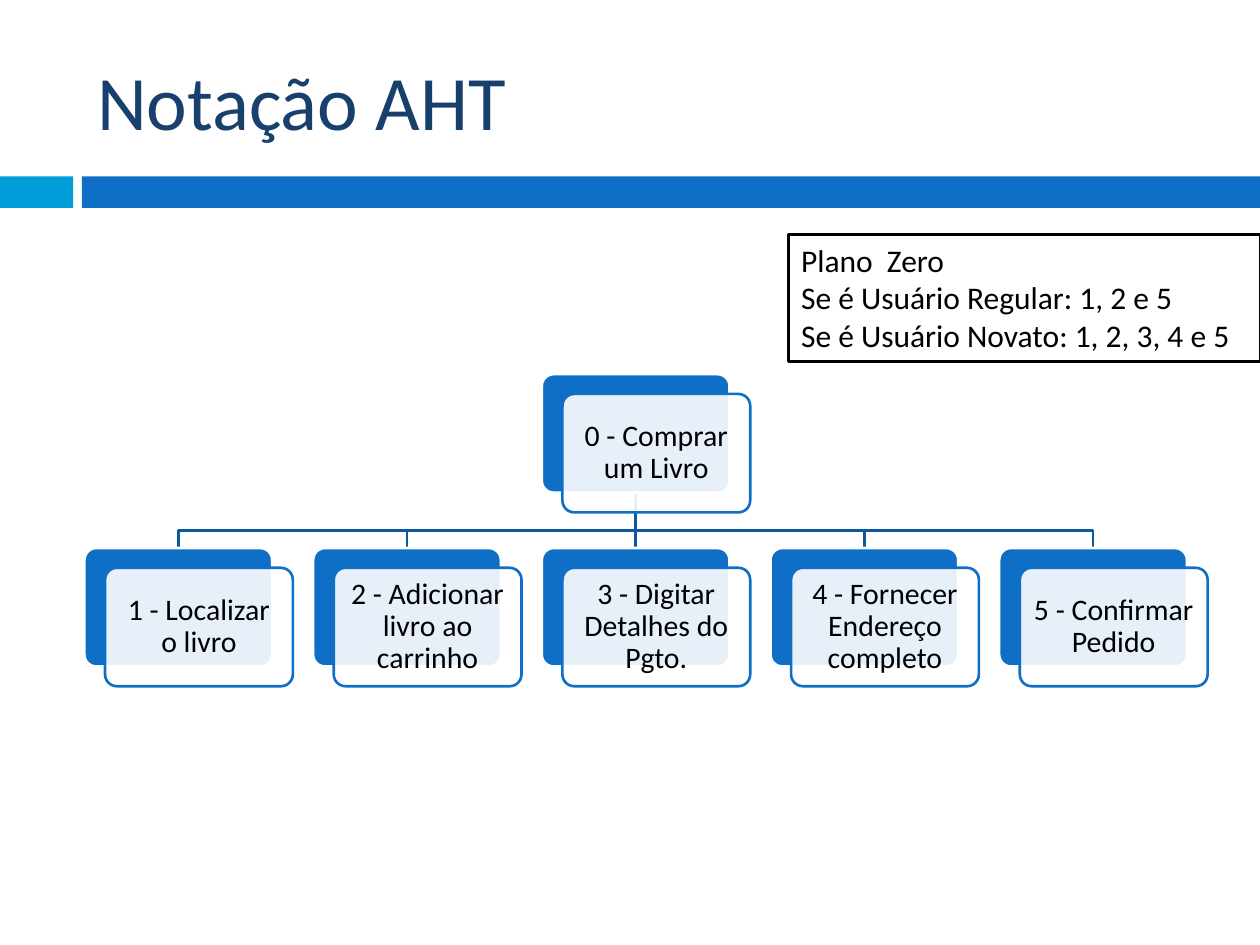
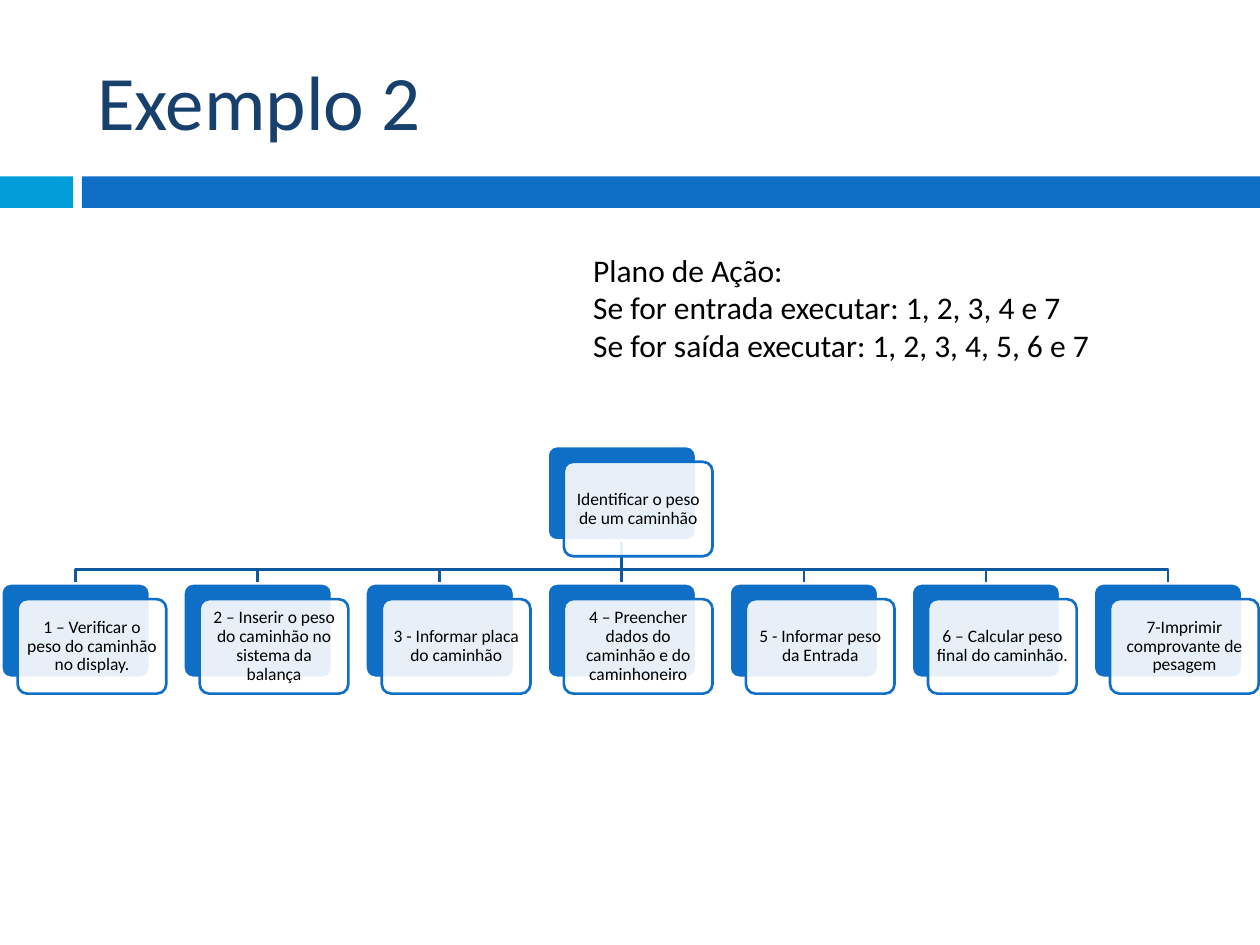
from dataclasses import dataclass

from lxml.etree import SubElement
from pptx import Presentation
from pptx.dml.color import RGBColor
from pptx.enum.shapes import MSO_CONNECTOR, MSO_SHAPE
from pptx.enum.text import MSO_ANCHOR, MSO_AUTO_SIZE, PP_ALIGN
from pptx.oxml.ns import qn
from pptx.util import Inches, Pt


@dataclass(frozen=True)
class Theme:
    font: str = "Calibri"
    navy: str = "17406D"
    blue: str = "0F6FC6"
    cyan: str = "009DD9"
    branch: str = "0C599F"
    white: str = "FFFFFF"
    black: str = "000000"
    title_size: int = 44
    plan_size: int = 18
    line_width: float = 1.5
    card_alpha: int = 90


theme = Theme()

TASK_TREES = [
    {
        "title": "Notação AHT",
        "plan": ["Plano  Zero", "Se é Usuário Regular: 1, 2 e 5",
                 "Se é Usuário Novato: 1, 2, 3, 4 e 5"],
        "plan_box": (6.26, 1.86, 3.74, 1.01),
        "plan_framed": True,
        "goal": "0 - Comprar um Livro",
        "tasks": ["1 - Localizar o livro", "2 - Adicionar livro ao carrinho",
                  "3 - Digitar Detalhes do Pgto.",
                  "4 - Fornecer Endereço completo", "5 - Confirmar Pedido"],
        "card_size": (1.49, 0.94),
        "first_left": 0.67, "last_left": 7.93,
        "goal_top": 2.97, "task_top": 4.35,
        "text_size": 17, "inset": 0.07,
    },
    {
        "title": "Exemplo 2",
        "plan": ["Plano de Ação:", "Se for entrada executar: 1, 2, 3, 4 e 7",
                 "Se for saída executar: 1, 2, 3, 4, 5, 6 e 7"],
        "plan_box": (4.61, 1.94, 4.37, 1.01),
        "plan_framed": False,
        "goal": "Identificar o peso de um caminhão",
        "tasks": ["1 – Verificar o peso do caminhão no display.",
                  "2 – Inserir o peso do caminhão no sistema da balança",
                  "3 - Informar placa do caminhão",
                  "4 – Preencher dados do caminhão e do caminhoneiro",
                  "5 - Informar peso da Entrada",
                  "6 – Calcular peso final do caminhão.",
                  "7-Imprimir comprovante de pesagem"],
        "card_size": (1.18, 0.75),
        "first_left": 0.01, "last_left": 8.68,
        "goal_top": 3.54, "task_top": 4.63,
        "text_size": 10, "inset": 0.04,
    },
]


def add_block(slide, preset, box, fill, line=None):
    shape = slide.shapes.add_shape(preset, *map(Inches, box))
    shape.shadow.inherit = False
    shape.fill.solid()
    shape.fill.fore_color.rgb = RGBColor.from_string(fill)
    if line:
        shape.line.color.rgb = RGBColor.from_string(line)
        shape.line.width = Pt(theme.line_width)
    else:
        shape.line.fill.background()
    return shape


def write_text(frame, lines, size, color, align=PP_ALIGN.LEFT, spacing=1.0):
    frame.text = "\n".join(lines)
    for paragraph in frame.paragraphs:
        paragraph.alignment = align
        paragraph.line_spacing = spacing
        for name, value in {"name": theme.font, "size": Pt(size)}.items():
            setattr(paragraph.font, name, value)
        paragraph.font.color.rgb = RGBColor.from_string(color)


presentation = Presentation()
presentation.slide_width = Inches(10)
presentation.slide_height = Inches(7.5)
layout = presentation.slide_layouts.get_by_name("Title Only")
title_box = {"left": 0.67, "top": 0.25, "width": 8.92, "height": 1.08}
for name, value in title_box.items():
    setattr(layout.placeholders[0], name, Inches(value))
slides = [presentation.slides.add_slide(layout) for tree in TASK_TREES]

# The bands are built once and moved to the layout that both slides share
for box, color in [((0, 1.4, 0.58, 0.25), theme.cyan),
                   ((0.65, 1.4, 9.35, 0.25), theme.blue)]:
    band = add_block(slides[0], MSO_SHAPE.RECTANGLE, box, color)
    layout.shapes.element.insert(2, band.element)

for slide, tree in zip(slides, TASK_TREES):
    title_frame = slide.shapes.title.text_frame
    title_frame.vertical_anchor = MSO_ANCHOR.MIDDLE
    write_text(title_frame, [tree["title"]], theme.title_size, theme.navy)

    # Cards: the goal stands above the middle task
    width, height = tree["card_size"]
    middle = len(tree["tasks"]) // 2
    pitch = (tree["last_left"] - tree["first_left"]) / (len(tree["tasks"]) - 1)
    lefts = [tree["first_left"] + pitch * i for i in range(len(tree["tasks"]))]
    cards = [(tree["goal"], lefts[middle], tree["goal_top"])]
    cards += [(task, left, tree["task_top"])
              for task, left in zip(tree["tasks"], lefts)]
    backs = []
    for text, left, top in cards:
        back = add_block(slide, MSO_SHAPE.ROUNDED_RECTANGLE,
                         (left, top, width, height), theme.blue, theme.white)
        front = add_block(slide, MSO_SHAPE.ROUNDED_RECTANGLE,
                          (left + 0.11 * width, top + height / 6, width, height),
                          theme.white, theme.blue)
        back.adjustments[0] = front.adjustments[0] = 0.1
        fill_color = front.element.spPr.find(f"{qn('a:solidFill')}/{qn('a:srgbClr')}")
        SubElement(fill_color, qn("a:alpha"), val=str(theme.card_alpha * 1000))
        frame = front.text_frame
        frame.word_wrap = True
        frame.vertical_anchor = MSO_ANCHOR.MIDDLE
        for side in ("left", "top", "right", "bottom"):
            setattr(frame, f"margin_{side}", Inches(tree["inset"]))
        write_text(frame, [text], tree["text_size"], theme.black,
                   PP_ALIGN.CENTER, 0.9)
        backs.append(back)

    # Branches from the goal to each task, placed behind the cards
    goal, *tasks = backs
    goal_x, goal_bottom = goal.left + goal.width // 2, goal.top + goal.height
    for task in tasks:
        task_x = task.left + task.width // 2
        if task is tasks[middle]:
            branch = slide.shapes.add_connector(
                MSO_CONNECTOR.STRAIGHT, goal_x, goal_bottom, task_x, task.top)
            branch.begin_connect(goal, 2)
            branch.end_connect(task, 0)
            SubElement(branch.element.spPr, qn("a:effectLst"))
        else:
            bend_y = goal_bottom + int(0.68 * (task.top - goal_bottom))
            outline = slide.shapes.build_freeform(goal_x, goal_bottom)
            outline.add_line_segments(
                [(goal_x, bend_y), (task_x, bend_y), (task_x, task.top)], close=False)
            branch = outline.convert_to_shape()
            branch.fill.background()
            branch.shadow.inherit = False
        branch.line.color.rgb = RGBColor.from_string(theme.branch)
        branch.line.width = Pt(theme.line_width)
        slide.shapes.element.insert(2, branch.element)

    plan = slide.shapes.add_textbox(*map(Inches, tree["plan_box"]))
    plan.text_frame.word_wrap = False
    plan.text_frame.auto_size = MSO_AUTO_SIZE.SHAPE_TO_FIT_TEXT
    write_text(plan.text_frame, tree["plan"], theme.plan_size, theme.black)
    if tree["plan_framed"]:
        plan.fill.solid()
        plan.fill.fore_color.rgb = RGBColor.from_string(theme.white)
        plan.line.color.rgb = RGBColor.from_string(theme.black)
        plan.line.width = Pt(theme.line_width)

presentation.save("out.pptx")
